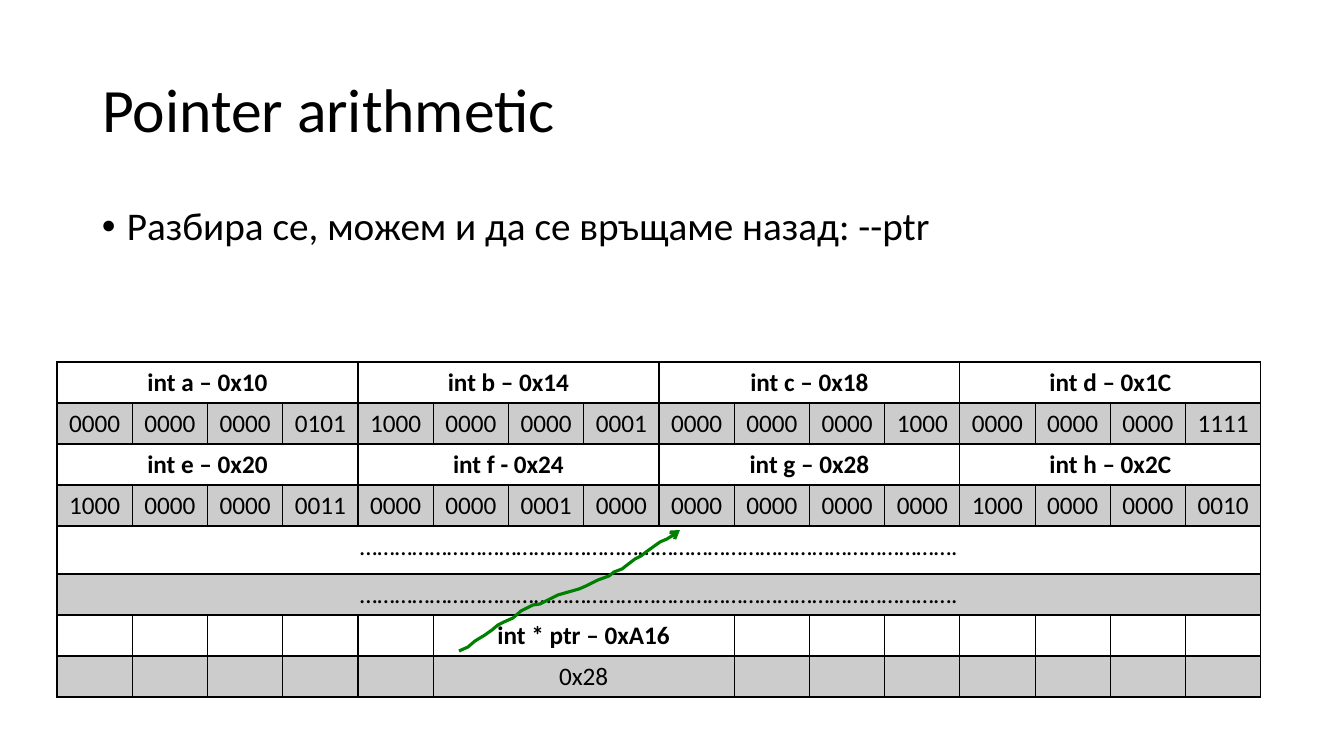
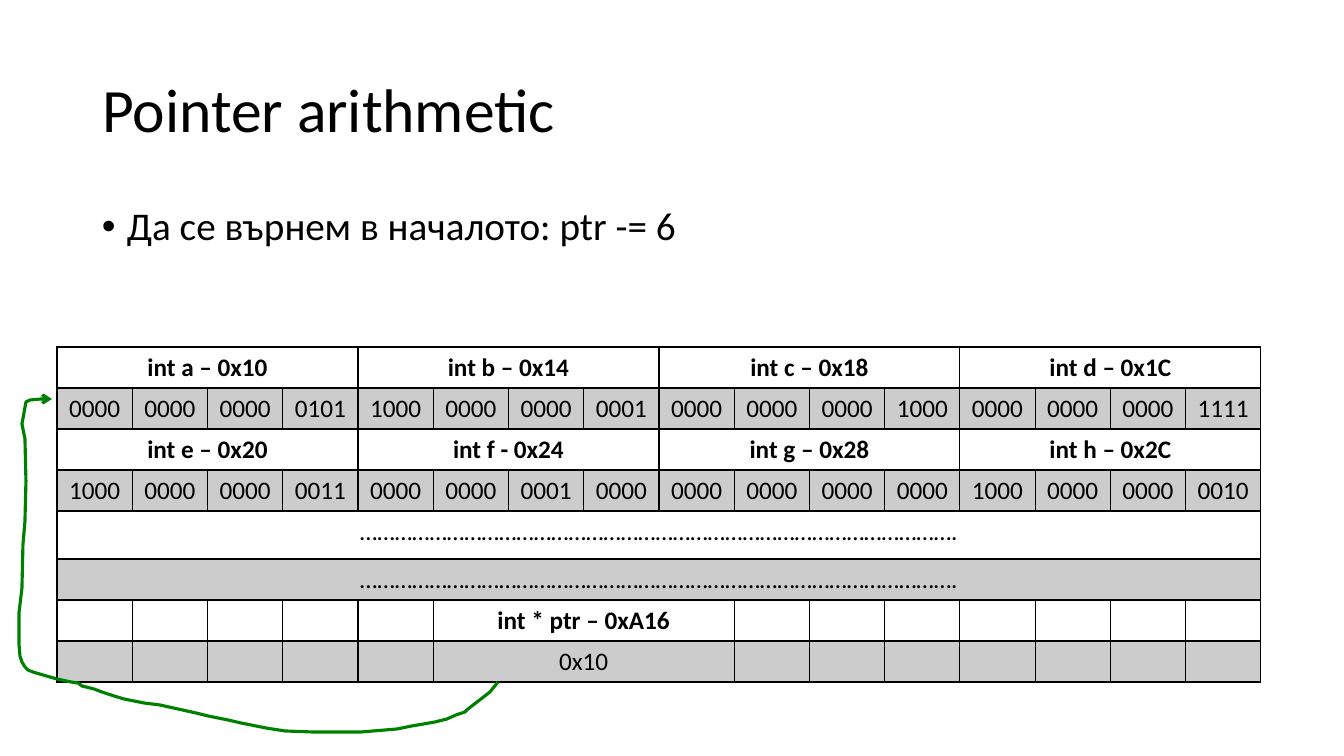
from pptx import Presentation
from pptx.dml.color import RGBColor
from pptx.enum.text import MSO_ANCHOR, PP_ALIGN
from pptx.oxml.ns import qn
from pptx.util import Pt
from lxml.etree import SubElement

SLIDE_WIDTH, SLIDE_HEIGHT = 1344, 756
PX = 12192000 / SLIDE_WIDTH
COLORS = {"text": "000000", "border": "000000", "shade": "CCCCCC", "arrow": "008000"}
FONT = "Calibri"
TITLE = "Pointer arithmetic"
TITLE_BOX = (92, 40, 1159, 146)
BODY_BOX = (92, 202, 1159, 100)
BULLET_INDENT = 25

# Memory table
TABLE_LEFT, TABLE_WIDTH = 57, 1204
COLUMNS = 16
ROW_HEIGHTS = [41, 41, 41, 41, 48, 41, 41, 41]
DOTS = "…………………………………………………………………………………………."
POINTER_SPANS = [1] * 5 + [4] + [1] * 7
MEMORY_ROWS = [
    (["int a – 0x10", "int b – 0x14", "int c – 0x18", "int d – 0x1C"], [4] * 4),
    ("0000 0000 0000 0101 1000 0000 0000 0001 "
     "0000 0000 0000 1000 0000 0000 0000 1111".split(), [1] * 16),
    (["int e – 0x20", "int f - 0x24", "int g – 0x28", "int h – 0x2C"], [4] * 4),
    ("1000 0000 0000 0011 0000 0000 0001 0000 "
     "0000 0000 0000 0000 1000 0000 0000 0010".split(), [1] * 16),
    ([DOTS], [16]),
    ([DOTS], [16]),
    ([""] * 5 + ["int * ptr – 0xA16"] + [""] * 7, POINTER_SPANS),
]
BOLD_ROWS = (0, 2, 6)

# What differs: bullet, table top, pointer value, arrow outline
PAGES = [
    ("Разбира се, можем и да се връщаме назад: --ptr", 362, "0x28", [
        (459, 651), (468, 647), (475, 641), (485, 635), (492, 630), (498, 625),
        (504, 622), (513, 618), (521, 611), (533, 605), (540, 604), (552, 598),
        (558, 595), (579, 589), (586, 586), (598, 580), (609, 576), (614, 572),
        (622, 569), (631, 562), (635, 559), (641, 556), (646, 552), (660, 542),
        (667, 539), (675, 534), (677, 532), (680, 530)]),
    ("Да се върнем в началото: ptr -= 6", 347, "0x10", [
        (498, 682), (490, 692), (481, 699), (468, 709), (465, 712), (456, 715),
        (447, 719), (435, 722), (412, 726), (397, 729), (361, 732), (313, 732),
        (285, 731), (266, 728), (241, 723), (228, 720), (208, 716), (196, 713),
        (178, 709), (160, 705), (144, 703), (124, 699), (114, 696), (102, 692),
        (94, 689), (82, 686), (78, 683), (71, 682), (57, 679), (43, 675),
        (33, 672), (28, 670), (25, 667), (22, 662), (20, 656), (19, 644),
        (19, 613), (22, 588), (23, 545), (25, 521), (26, 481), (25, 439),
        (22, 424), (26, 402), (30, 400), (41, 399), (52, 399)]),
]


def add_span(para, text, size, bold=False):
    span = para.add_run()
    span.text = text
    span.font.name = FONT
    span.font.size = Pt(size)
    span.font.bold = bold
    span.font.color.rgb = RGBColor.from_string(COLORS["text"])


def add_border(cell, side, points):
    line = SubElement(cell._tc.get_or_add_tcPr(), qn("a:" + side), w=str(Pt(points)))
    fill = SubElement(line, qn("a:solidFill"))
    SubElement(fill, qn("a:srgbClr"), val=COLORS["border"])


deck = Presentation()
deck.slide_width, deck.slide_height = round(SLIDE_WIDTH * PX), round(SLIDE_HEIGHT * PX)

for bullet, table_top, pointer_value, arrow_points in PAGES:
    page = deck.slides.add_slide(deck.slide_layouts[5])

    # Title
    title = page.shapes.title
    title.left, title.top, title.width, title.height = [round(n * PX) for n in TITLE_BOX]
    title.text_frame.vertical_anchor = MSO_ANCHOR.MIDDLE
    para = title.text_frame.paragraphs[0]
    para.alignment = PP_ALIGN.LEFT
    para.line_spacing = 0.9
    add_span(para, TITLE, 44)

    # Bullet
    box = page.shapes.add_textbox(*[round(n * PX) for n in BODY_BOX])
    box.text_frame.word_wrap = True
    para = box.text_frame.paragraphs[0]
    para.line_spacing = 0.9
    para.space_before = Pt(10)
    properties = para._p.get_or_add_pPr()
    properties.set("marL", str(round(BULLET_INDENT * PX)))
    properties.set("indent", str(round(-BULLET_INDENT * PX)))
    SubElement(properties, qn("a:buFont"), typeface="Arial")
    SubElement(properties, qn("a:buChar"), char="•")
    add_span(para, bullet, 28)

    # Table
    table = page.shapes.add_table(
        len(ROW_HEIGHTS), COLUMNS, round(TABLE_LEFT * PX), round(table_top * PX),
        round(TABLE_WIDTH * PX), round(sum(ROW_HEIGHTS) * PX)).table
    table.first_row = table.horz_banding = False
    for column in table.columns:
        column.width = round(TABLE_WIDTH * PX / COLUMNS)
    for row, height in zip(table.rows, ROW_HEIGHTS):
        row.height = round(height * PX)

    # Borders and shaded rows
    for row_index, row in enumerate(table.rows):
        for cell in row.cells:
            for side in ("lnL", "lnR", "lnT", "lnB"):
                add_border(cell, side, 2 if row_index == 0 and side == "lnB" else 1)
            if row_index % 2:
                cell.fill.solid()
                cell.fill.fore_color.rgb = RGBColor.from_string(COLORS["shade"])
            else:
                cell.fill.background()

    # Cell text
    pointer_row = ([""] * 5 + [pointer_value] + [""] * 7, POINTER_SPANS)
    for row_index, (texts, widths) in enumerate(MEMORY_ROWS + [pointer_row]):
        column_index = 0
        for text, width in zip(texts, widths):
            cell = table.cell(row_index, column_index)
            if width > 1:
                cell.merge(table.cell(row_index, column_index + width - 1))
            if text:
                para = cell.text_frame.paragraphs[0]
                para.alignment = PP_ALIGN.CENTER
                add_span(para, text, 18, row_index in BOLD_ROWS)
            column_index += width

    # Hand-drawn arrow
    builder = page.shapes.build_freeform(*arrow_points[0], scale=PX)
    builder.add_line_segments(arrow_points[1:], close=False)
    arrow = builder.convert_to_shape()
    arrow.shadow.inherit = False
    arrow.fill.background()
    arrow.line.color.rgb = RGBColor.from_string(COLORS["arrow"])
    arrow.line.width = Pt(2.25)
    SubElement(arrow.line._get_or_add_ln(), qn("a:round"))
    SubElement(arrow.line._get_or_add_ln(), qn("a:tailEnd"), type="arrow")

deck.save("out.pptx")
